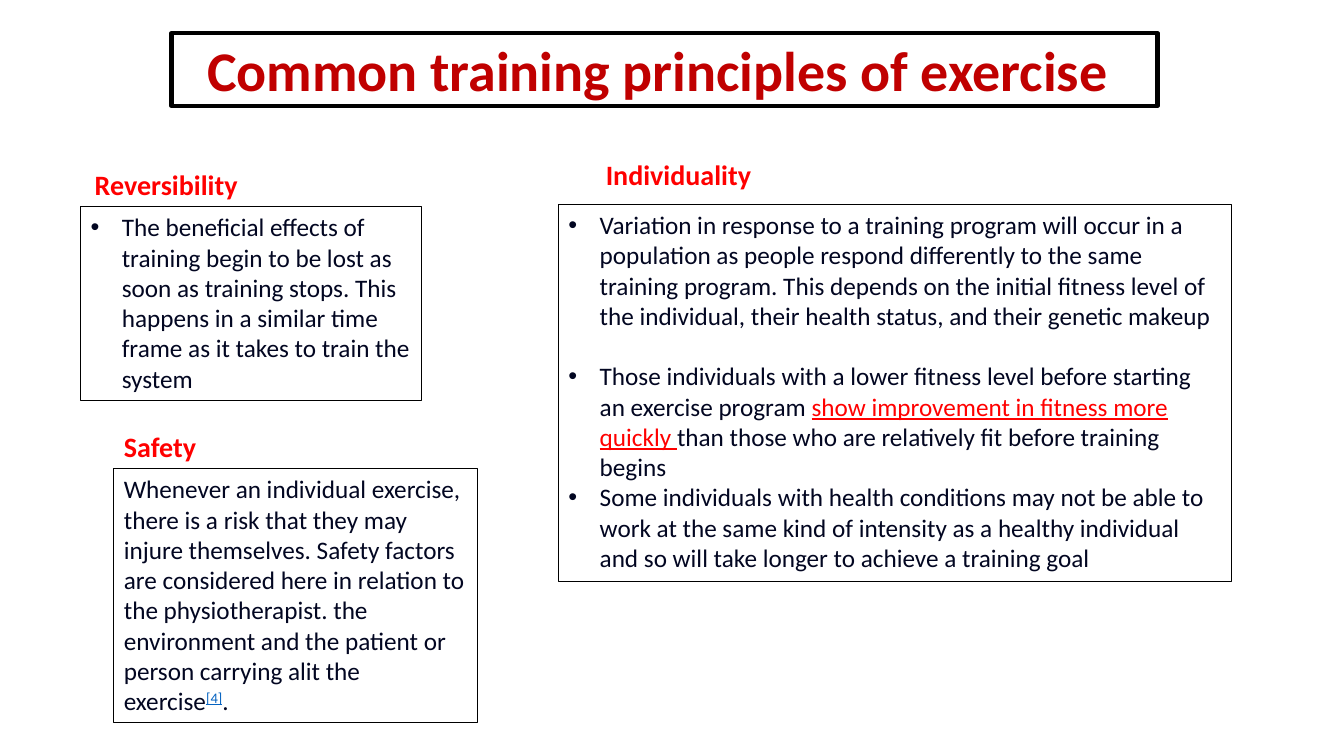
from pptx import Presentation
from pptx.dml.color import RGBColor
from pptx.enum.shapes import MSO_SHAPE as Shape
from pptx.enum.text import MSO_ANCHOR as Anchor, MSO_AUTO_SIZE as AutoSize, PP_ALIGN as Align
from pptx.util import Inches, Pt
from lxml import etree

BLACK, INK, RED, DARK_RED, LINK = "000000", "020621", "FF0000", "C00000", "0563C1"
BULLET_INDENT = Inches(0.31)
DRAWING = "{http://schemas.openxmlformats.org/drawingml/2006/main}"


def color(hex_value):
    return RGBColor.from_string(hex_value)


def add_run(paragraph, text, size=18, fill=INK, bold=False, underline=False, baseline=0):
    run = paragraph.add_run()
    run.text = text
    font = run.font
    font.name, font.size, font.bold, font.underline = "Calibri", Pt(size), bold, underline
    font.color.rgb = color(fill)
    if baseline:
        run._r.get_or_add_rPr().set("baseline", str(baseline * 1000))


def add_bullet(paragraph):
    properties = paragraph._p.get_or_add_pPr()
    properties.set("marL", str(BULLET_INDENT))
    properties.set("indent", str(-BULLET_INDENT))
    etree.SubElement(properties, DRAWING + "buFont").set("typeface", "Arial")
    etree.SubElement(properties, DRAWING + "buChar").set("char", "•")


def set_outline(shape, width):
    shape.fill.background()
    shape.line.color.rgb = color(BLACK)
    shape.line.width = Pt(width)


def place_title(slide, text, left, top, width, height):
    title = slide.shapes.title
    title.left, title.top, title.width, title.height = map(Inches, (left, top, width, height))
    set_outline(title, 3)
    frame = title.text_frame
    frame.auto_size = AutoSize.NONE
    frame.vertical_anchor = Anchor.MIDDLE
    frame.margin_top = frame.margin_bottom = 0
    frame.margin_right = Inches(0.24)
    paragraph = frame.paragraphs[0]
    paragraph.alignment = Align.CENTER
    add_run(paragraph, text, size=40, fill=DARK_RED, bold=True)


def add_principle(slide, heading, paragraphs, left, top, width, height,
                  heading_offset, bulleted=True, gap_after_first=0):
    """Place an outlined text box, with its heading offset from the top left corner."""
    # Heading
    offset_x, offset_y = heading_offset
    heading_box = slide.shapes.add_textbox(
        Inches(left + offset_x), Inches(top + offset_y), Inches(2.25), Inches(0.44))
    heading_box.text_frame.word_wrap = True
    add_run(heading_box.text_frame.paragraphs[0], heading, size=20, fill=RED, bold=True)

    # Outlined body
    body = slide.shapes.add_shape(
        Shape.RECTANGLE, *map(Inches, (left, top, width, height)))
    body.shadow.inherit = False
    set_outline(body, 0.75)
    frame = body.text_frame
    frame.word_wrap = True
    frame.vertical_anchor = Anchor.TOP
    for index, runs in enumerate(paragraphs):
        paragraph = frame.add_paragraph() if index else frame.paragraphs[0]
        paragraph.alignment = Align.LEFT
        if index == 0 and gap_after_first:
            paragraph.space_after = Pt(gap_after_first)
        if bulleted:
            add_bullet(paragraph)
        for text, formatting in runs:
            add_run(paragraph, text, **formatting)


REVERSIBILITY = [
    [("The beneficial effects of training begin to be lost as soon as training stops. "
      "This happens in a similar time frame as it takes to train the system", {})],
]
INDIVIDUALITY = [
    [("Variation in response to a training program will occur in a population as people "
      "respond differently to the same training program. This depends on the initial "
      "fitness level of the individual, their health status, and their genetic makeup", {})],
    [("Those individuals with a lower fitness level before starting an exercise program ", {}),
     ("show improvement in fitness more quickly ", {"fill": RED, "underline": True}),
     ("than those who are relatively fit before training begins", {})],
    [("Some individuals with health conditions may not be able to work at the same kind "
      "of intensity as a healthy individual and so will take longer to achieve a "
      "training goal", {})],
]
SAFETY = [
    [("Whenever an individual exercise, there is a risk that they may injure themselves. "
      "Safety factors are considered here in relation to the physiotherapist. the "
      "environment and the patient or person carrying alit the exercise", {}),
     ("[4]", {"fill": LINK, "underline": True, "baseline": 30}),
     (".", {})],
]


def main():
    presentation = Presentation()
    presentation.slide_width, presentation.slide_height = Inches(13.33), Inches(7.5)
    slide = presentation.slides.add_slide(presentation.slide_layouts[5])

    place_title(slide, "Common training principles of exercise", 1.7, 0.33, 9.78, 0.72)
    add_principle(slide, "Reversibility", REVERSIBILITY, 0.8, 2.05, 3.38, 1.92,
                  heading_offset=(0.04, -0.44))
    add_principle(slide, "Individuality", INDIVIDUALITY, 5.54, 2.03, 6.67, 3.74,
                  heading_offset=(0.37, -0.52), gap_after_first=21.6)
    add_principle(slide, "Safety", SAFETY, 1.13, 4.65, 3.61, 2.52,
                  heading_offset=(0, -0.44), bulleted=False)

    presentation.save("out.pptx")


if __name__ == "__main__":
    main()
